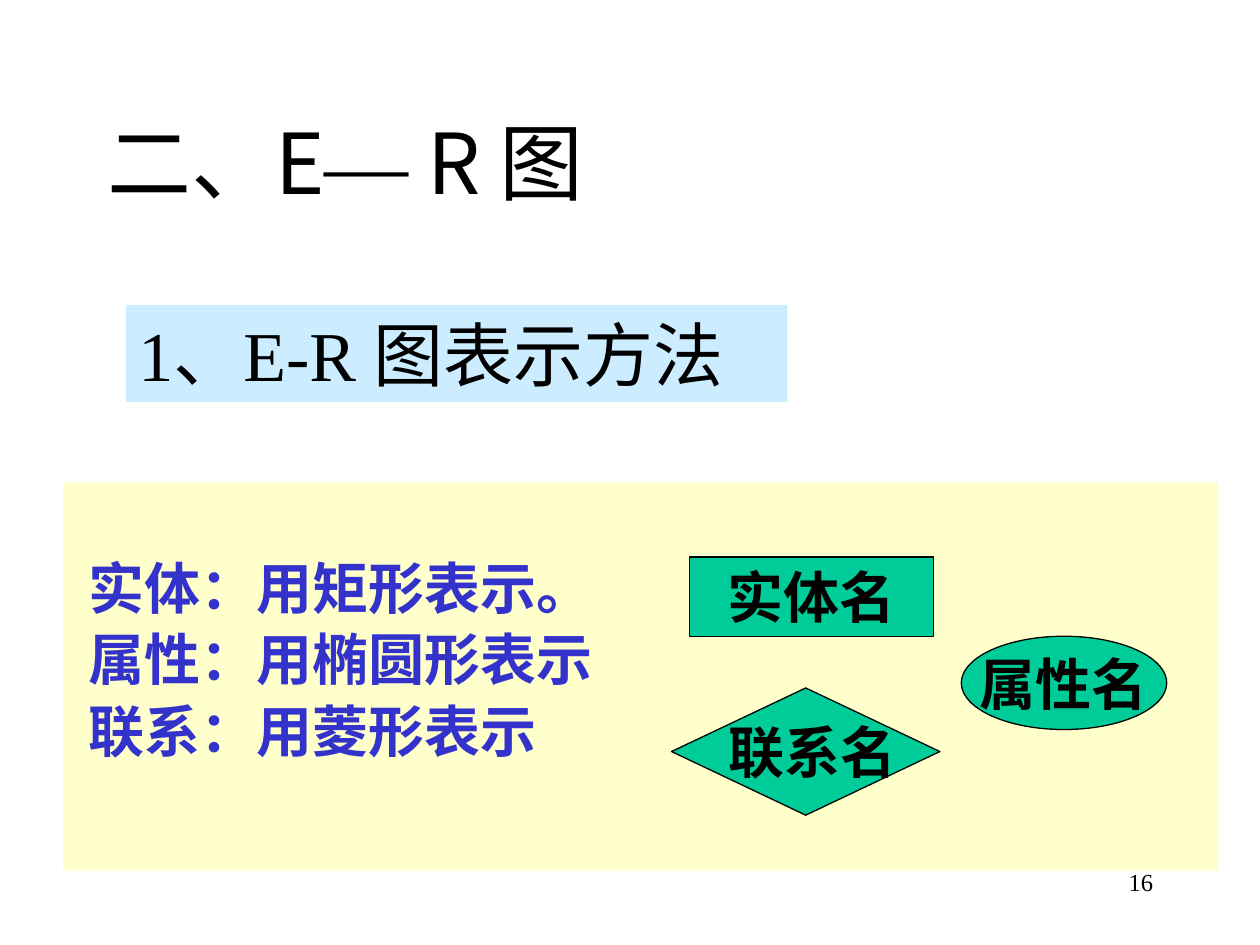
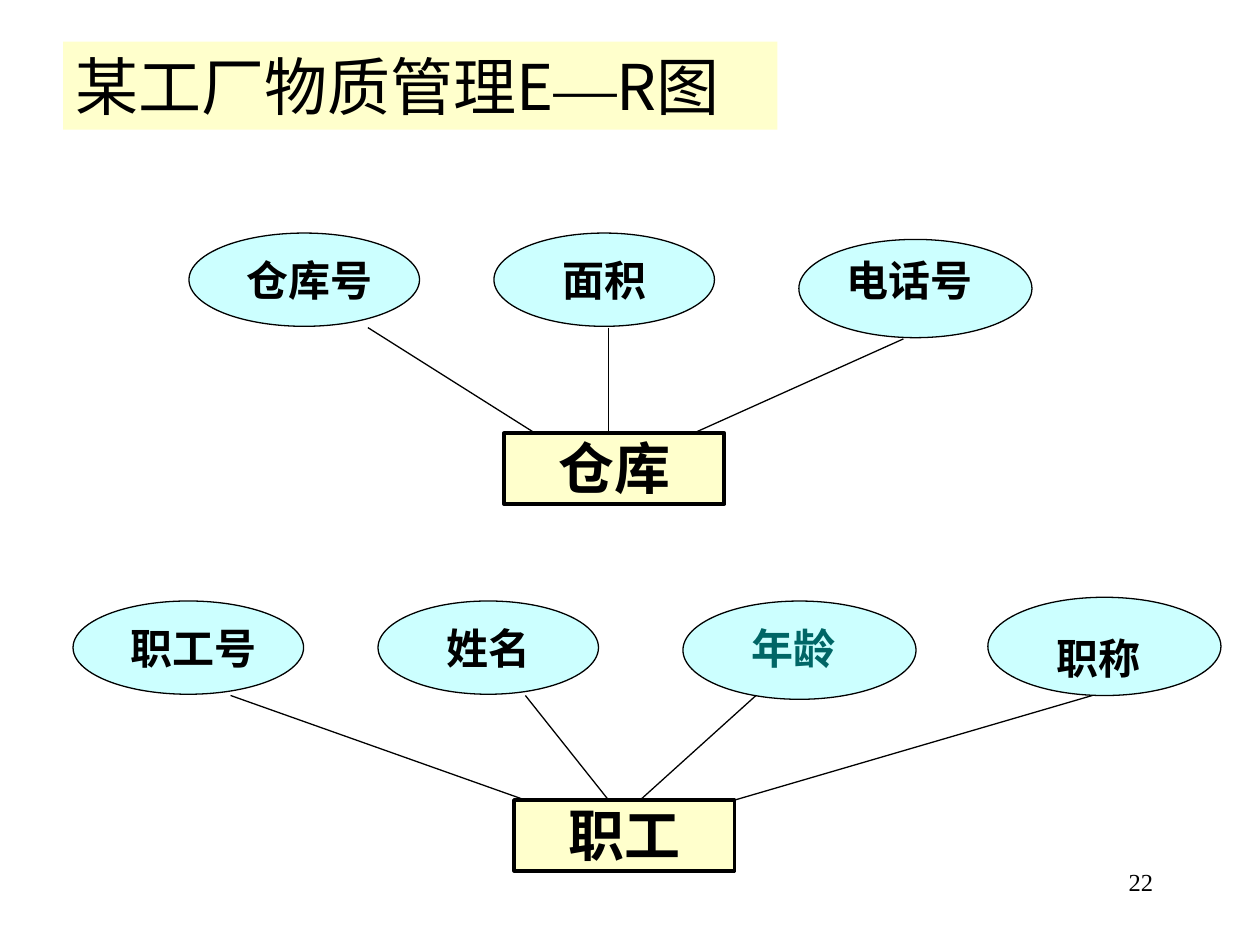
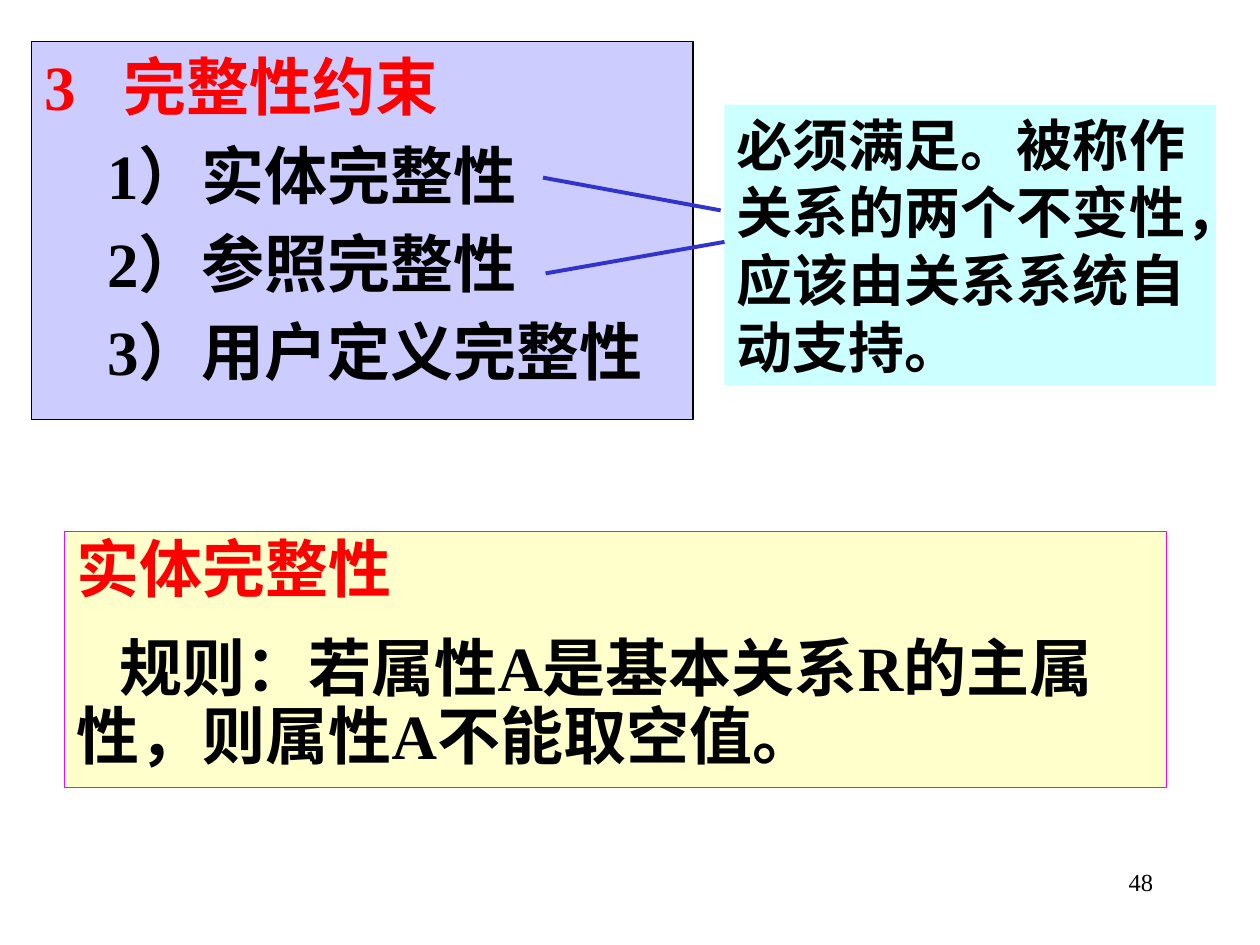
"""Build three slides on E-R diagrams and integrity constraints."""
from lxml import etree
from pptx import Presentation
from pptx.dml.color import RGBColor
from pptx.enum.shapes import MSO_CONNECTOR, MSO_SHAPE
from pptx.enum.text import MSO_ANCHOR, MSO_AUTO_SIZE, PP_ALIGN
from pptx.oxml.ns import qn
from pptx.util import Inches, Pt

C = dict(black="000000", cream="FFFFCC", sky="CCECFF", aqua="CCFFFF", lilac="CCCCFF",
         green="00CC99", blue="3333CC", teal="006666", red="FF0000", magenta="FF00FF")
SERIF, SANS = "Times New Roman", "Noto Sans CJK SC"

NOTATION_RULES = ["实体：用矩形表示。", "属性：用椭圆形表示", "联系：用菱形表示"]
NOTATION_SHAPES = [
    ("实体名", MSO_SHAPE.RECTANGLE, (5.47, 4.42, 1.94, 0.63), 0),
    ("属性名", MSO_SHAPE.OVAL, (7.63, 5.05, 1.63, 0.74), 0),
    ("联系名", MSO_SHAPE.DIAMOND, (5.33, 5.46, 2.13, 1.01), 0.11),
]

PITCH = 2.42
OVALS = {"left": (1.83, 0.74, 0.33, 1.25), "middle": (1.75, 0.74, 0.5, 0.75),
         "right": (1.85, 0.78, 0.17, 1.42)}
ENTITIES = [
    dict(name="仓库", at=(4, 3.44), left=1.5, label_y=2.02, attributes=[
        ("仓库号", "left", 1.85, 0, "black", (2.92, 2.6), 4.25),
        ("面积", "middle", 1.85, 0, "black", (4.83, 2.6), 4.83),
        ("电话号", "right", 1.9, 0, "black", (7.17, 2.69), 5.5)]),
    dict(name="职工", at=(4.08, 6.35), left=0.58, label_y=4.94, attributes=[
        ("职工号", "left", 4.77, 0, "black", (1.83, 5.52), 4.17),
        ("姓名", "middle", 4.77, 0, "black", (4.17, 5.52), 4.83),
        ("年龄", "right", 4.77, 0, "teal", (6, 5.52), 5.08),
        ("职称", "right", 4.74, 0.08, "black", (8.67, 5.52), 5.83)]),
]

CONSTRAINTS = ["3\t完整性约束", "1）实体完整性", "2）参照完整性", "3）用户定义完整性"]
INVARIANTS = "必须满足。被称作关系的两个不变性，应该由关系系统自动支持。"
ENTITY_RULE = ["实体完整性", "规则：若属性A是基本关系R的主属性，则属性A不能取空值。"]
POINTERS = [((4.31, 1.41), (5.72, 1.67)), ((4.33, 2.17), (5.75, 1.92))]


def rgb(name):
    return RGBColor.from_string(C[name])


def paint(sp, fill=None, line=None, width=0.75):
    if fill:
        sp.fill.solid()
        sp.fill.fore_color.rgb = rgb(fill)
    if line:
        sp.line.color.rgb = rgb(line)
        sp.line.width = Pt(width)
    else:
        sp.line.fill.background()


def write(sp, paras, size=32, colors=("black",), font=SERIF, bold=True, align=PP_ALIGN.LEFT,
          anchor=MSO_ANCHOR.TOP, inset=(0.1, 0.05), top=0, shift=0, lead=1, before=0.2,
          indents=((0, 0),), wrap=True):
    """Fill a shape with paragraphs; the last colour and indent carry on."""
    tf = sp.text_frame
    tf.word_wrap, tf.auto_size, tf.vertical_anchor = wrap, MSO_AUTO_SIZE.NONE, anchor
    tf.margin_left, tf.margin_right = Inches(inset[0] + shift), Inches(inset[0])
    tf.margin_top, tf.margin_bottom = Inches(inset[1] + top), Inches(inset[1])
    for i, text in enumerate(paras):
        p = tf.add_paragraph() if i else tf.paragraphs[0]
        margin, first = indents[min(i, len(indents) - 1)]
        pPr = p._p.get_or_add_pPr()
        pPr.set("marL", str(Inches(margin)))
        pPr.set("indent", str(Inches(first)))
        etree.SubElement(pPr, qn("a:buNone"))
        p.alignment, p.line_spacing = align, lead
        p.space_before = Pt(round(size * before, 1) if i else 0)
        for piece in filter(None, text.replace("—", "|—|").split("|")):
            r = p.add_run()
            r.text = piece
            r.font.size, r.font.bold = Pt(size), bold
            r.font.color.rgb = rgb(colors[min(i, len(colors) - 1)])
            r.font.name = SERIF if piece == "—" else font
            ea = etree.SubElement(r._r.get_or_add_rPr(), qn("a:ea"))
            ea.set("typeface", SERIF if piece == "—" else SANS)


def place(sp, at):
    sp.left, sp.top, sp.width, sp.height = map(Inches, at)
    return sp


def add_shape(s, kind, at, fill, line=None, width=0.75):
    sp = s.shapes.add_shape(kind, *map(Inches, at))
    sp.shadow.inherit = False
    paint(sp, fill, line, width)
    return sp


def add_box(s, at):
    return s.shapes.add_textbox(*map(Inches, at))


def add_line(s, start, end, color="black", width=0.75):
    cn = s.shapes.add_connector(MSO_CONNECTOR.STRAIGHT, *map(Inches, start + end))
    cn.line.color.rgb = rgb(color)
    cn.line.width = Pt(width)
    etree.SubElement(cn._element.spPr, qn("a:effectLst"))


def add_slide(prs, layout, number):
    s = prs.slides.add_slide(prs.slide_layouts[layout])
    write(add_box(s, (7.17, 6.83, 2.08, 0.5)), [number], size=14, bold=False,
          align=PP_ALIGN.RIGHT)
    return s


def add_title(s, text, at, size, fill=None):
    sp = place(s.shapes.title, at)
    paint(sp, fill)
    write(sp, [text], size=size, font=SANS, bold=False)


def notation_slide(prs):
    s = add_slide(prs, 1, "16")
    add_title(s, "二、E— R 图", (0.75, 0.83, 4.83, 0.9), 48)
    body = place(s.placeholders[1], (0.5, 3.83, 9.17, 3.08))
    paint(body, "cream")
    write(body, NOTATION_RULES, colors=["blue"], font=SANS, top=0.57, lead=0.9,
          indents=[(0.1, 0)])
    for text, kind, at, shift in NOTATION_SHAPES:
        write(add_shape(s, kind, at, "green", "black"), [text], align=PP_ALIGN.CENTER,
              anchor=MSO_ANCHOR.MIDDLE, shift=shift, wrap=False)
    heading = add_shape(s, MSO_SHAPE.RECTANGLE, (1, 2.42, 5.25, 0.77), "sky")
    write(heading, ["1、E-R 图表示方法"], size=40, bold=False)


def diagram_slide(prs):
    s = add_slide(prs, 5, "22")
    add_title(s, "某工厂物质管理E—R图", (0.5, 0.33, 5.67, 0.7), 36, "cream")
    for entity in ENTITIES:
        x, y = entity["at"]
        sp = add_shape(s, MSO_SHAPE.RECTANGLE, (x, y, 1.75, 0.56), "cream", "black", 2.25)
        write(sp, [entity["name"]], align=PP_ALIGN.CENTER, inset=(0, 0))
        for i, (text, kind, top, lower, color, start, end_x) in enumerate(entity["attributes"]):
            left = entity["left"] + i * PITCH
            w, h, dx, label_w = OVALS[kind]
            add_shape(s, MSO_SHAPE.OVAL, (left, top, w, h), "aqua", "black")
            label = add_box(s, (left + dx, entity["label_y"] + lower, label_w, 0.4))
            write(label, [text], size=24, colors=[color], align=PP_ALIGN.CENTER, inset=(0, 0))
            add_line(s, start, (end_x, y))


def integrity_slide(prs):
    s = add_slide(prs, 1, "48")
    title = s.shapes.title._element
    title.getparent().remove(title)
    body = place(s.placeholders[1], (0.25, 0.33, 5.25, 3))
    paint(body, "lilac", "black")
    write(body, CONSTRAINTS, size=36, colors=["red", "black"],
          indents=[(0.63, -0.63), (0.5, 0)])
    note = add_shape(s, MSO_SHAPE.RECTANGLE, (5.75, 0.83, 3.9, 2.23), "aqua")
    write(note, [INVARIANTS])
    for start, end in POINTERS:
        add_line(s, start, end, "blue", 2.25)
    rule = add_shape(s, MSO_SHAPE.RECTANGLE, (0.51, 4.22, 8.75, 2.03), "cream", "magenta")
    write(rule, ENTITY_RULE, size=36, colors=["red", "black"], lead=0.9, before=0.5,
          indents=[(0, 0), (0, 0.34)])


def main():
    prs = Presentation()
    prs.slide_width, prs.slide_height = Inches(10), Inches(7.5)
    notation_slide(prs)
    diagram_slide(prs)
    integrity_slide(prs)
    prs.save("out.pptx")


if __name__ == "__main__":
    main()
